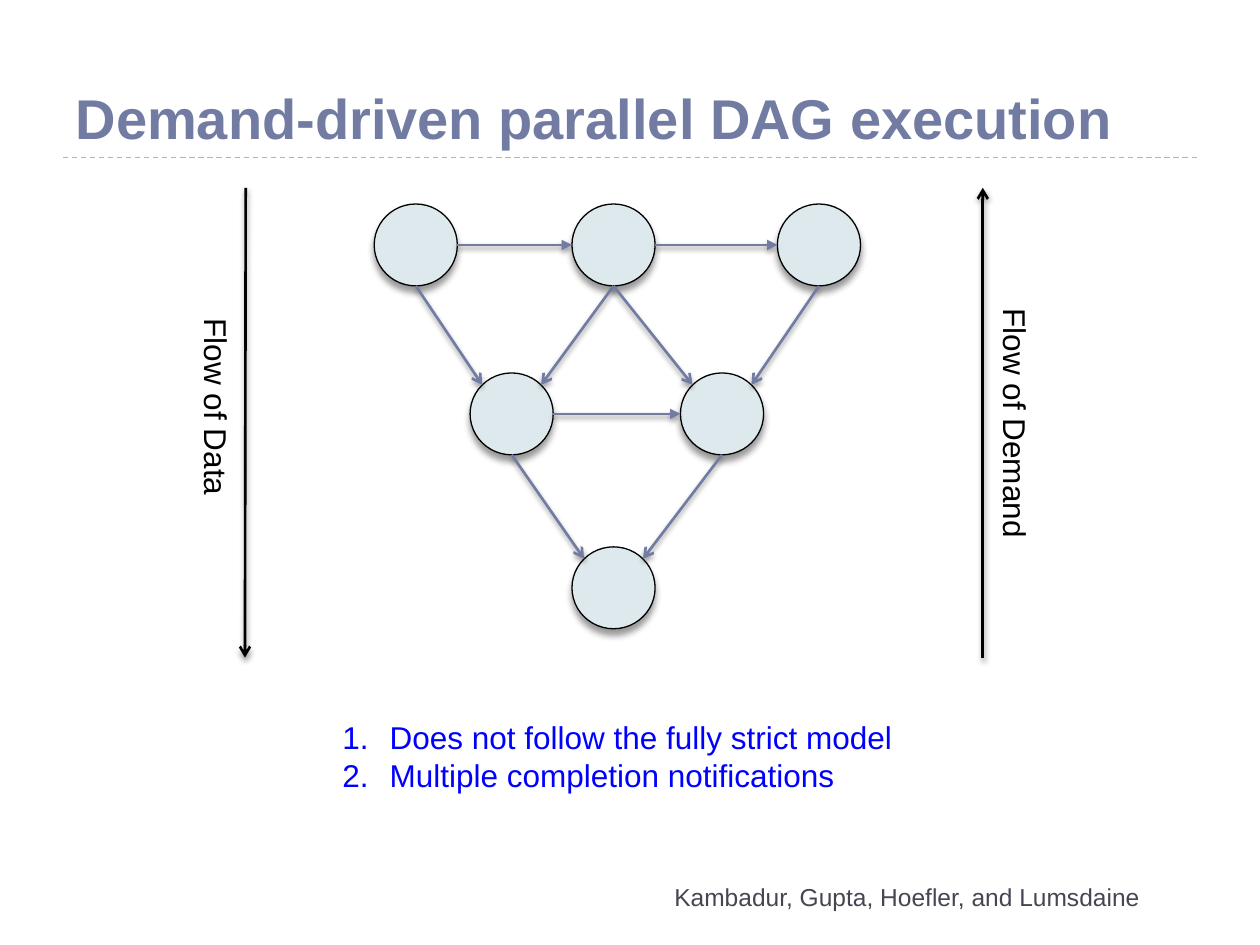
from lxml import etree
from pptx import Presentation
from pptx.dml.color import RGBColor
from pptx.enum.dml import MSO_LINE
from pptx.enum.shapes import MSO_CONNECTOR, MSO_SHAPE
from pptx.enum.text import MSO_ANCHOR, MSO_AUTO_SIZE, PP_ALIGN
from pptx.oxml.ns import qn
from pptx.util import Pt

STRAIGHT = MSO_CONNECTOR.STRAIGHT
ELLIPSE = MSO_SHAPE.OVAL
LEFT, CENTER = PP_ALIGN.LEFT, PP_ALIGN.CENTER
FONT = "Arial"
SLATE = RGBColor(0x72, 0x7C, 0xA3)
PALE = RGBColor(0xDD, 0xE9, 0xEC)
RULE = RGBColor(0x9F, 0xB8, 0xCD)
GREY = RGBColor(0x46, 0x46, 0x53)
BLACK = RGBColor(0, 0, 0)
BLUE = RGBColor(0, 0, 255)

TITLE = "Demand-driven parallel DAG execution"
AUTHORS = "Kambadur, Gupta, Hoefler, and Lumsdaine"
POINTS = ["Does not follow the fully strict model", "Multiple completion notifications"]

# Node centres, row by row
NODES = {
    "a1": (237.6, 140), "a2": (350.6, 140), "a3": (468, 140),
    "b1": (292.4, 236.5), "b2": (412.6, 236.5),
    "c1": (350.6, 335.9),
}
NODE_WIDTH, NODE_HEIGHT = 47.5, 46.8
ACROSS = [("a1", "a2"), ("a2", "a3"), ("b1", "b2")]
DOWN = [("a1", "b1"), ("a2", "b1"), ("a2", "b2"), ("a3", "b2"), ("b1", "c1"), ("b2", "c1")]

# label, arrow start, arrow end, label box (left, top, width, height)
FLOWS = [
    ("Flow of Data", (140.4, 107.3), (140, 375.8), (65.5, 218.9, 116.6, 28.8)),
    ("Flow of Demand", (561.6, 375.8), (561.6, 107.3), (506.9, 228.2, 146.9, 28.8)),
]


def add_shadow(shape, blur, distance):
    """Give a shape a soft black shadow falling straight down."""
    effects = etree.SubElement(shape._element.spPr, qn("a:effectLst"))
    shadow = etree.SubElement(effects, qn("a:outerShdw"), blurRad=str(Pt(blur)),
                              dist=str(Pt(distance)), dir="5400000", rotWithShape="0")
    color = etree.SubElement(shadow, qn("a:srgbClr"), val="000000")
    etree.SubElement(color, qn("a:alpha"), val="40000")


def add_line(page, start, end, color, width):
    line = page.shapes.add_connector(STRAIGHT, *(Pt(value) for value in (*start, *end)))
    line.line.color.rgb = color
    line.line.width = Pt(width)
    return line


def add_arrow(page, start, end, color, head):
    arrow = add_line(page, start, end, color, 1.5)
    etree.SubElement(arrow.line._get_or_add_ln(), qn("a:tailEnd"), type=head)
    add_shadow(arrow, 3, 2)


def style(paragraph, size, color, align=LEFT, bold=False):
    paragraph.alignment = align
    font = paragraph.font
    font.name, font.size, font.bold = FONT, Pt(size), bold
    font.color.rgb = color


def add_text(page, place, lines, size, color, align=LEFT, wrap=False, numbered=False):
    box = page.shapes.add_textbox(*(Pt(value) for value in place))
    frame = box.text_frame
    frame.word_wrap = wrap
    frame.text = "\n".join(lines)
    for paragraph in frame.paragraphs:
        if numbered:
            properties = paragraph._p.get_or_add_pPr()
            properties.set("marL", str(Pt(27)))
            properties.set("indent", str(Pt(-27)))
            etree.SubElement(properties, qn("a:buFont"), typeface="+mj-lt")
            etree.SubElement(properties, qn("a:buAutoNum"), type="arabicPeriod")
        style(paragraph, size, color, align)
    return box


def add_node(page, center):
    x, y = center
    node = page.shapes.add_shape(ELLIPSE, Pt(x - NODE_WIDTH / 2), Pt(y - NODE_HEIGHT / 2),
                                 Pt(NODE_WIDTH), Pt(NODE_HEIGHT))
    node.fill.solid()
    node.fill.fore_color.rgb = PALE
    node.line.color.rgb = BLACK
    node.line.width = Pt(0.75)
    add_shadow(node, 4, 3.4)


def rim(name, across, down):
    """Point on a node's edge, in the direction given as parts of its radii."""
    x, y = NODES[name]
    return x + across * NODE_WIDTH / 2, y + down * NODE_HEIGHT / 2


def add_graph(page):
    for center in NODES.values():
        add_node(page, center)
    for source, target in ACROSS:
        add_arrow(page, rim(source, 1, 0), rim(target, -1, 0), SLATE, "triangle")
    for source, target in DOWN:
        side = -0.71 if NODES[source][0] < NODES[target][0] else 0.71
        add_arrow(page, rim(source, 0, 1), rim(target, side, -0.71), SLATE, "arrow")


def add_title(page):
    title = page.shapes.title
    title.left, title.top, title.width, title.height = Pt(36), Pt(12.2), Pt(648), Pt(77.8)
    frame = title.text_frame
    frame.text = TITLE
    frame.vertical_anchor = MSO_ANCHOR.BOTTOM
    frame.auto_size = MSO_AUTO_SIZE.NONE
    style(frame.paragraphs[0], 32, SLATE, bold=True)
    rule = add_line(page, (36, 90), (684, 90), RULE, 0.75)
    rule.line.dash_style = MSO_LINE.DASH
    etree.SubElement(rule._element.spPr, qn("a:effectLst"))


def main():
    deck = Presentation()
    deck.slide_width, deck.slide_height = Pt(720), Pt(540)
    page = deck.slides.add_slide(deck.slide_layouts.get_by_name("Title Only"))
    add_title(page)
    add_graph(page)
    for label, start, end, place in FLOWS:
        add_arrow(page, start, end, BLACK, "arrow")
        add_text(page, place, [label], 18, BLACK).rotation = 90
    add_text(page, (188.6, 406.8, 330.5, 51.1), POINTS, 18, BLUE, numbered=True)
    add_text(page, (352.8, 500.4, 331.2, 28.8), [AUTHORS], 14, GREY, CENTER, wrap=True)
    deck.save("out.pptx")


if __name__ == "__main__":
    main()
